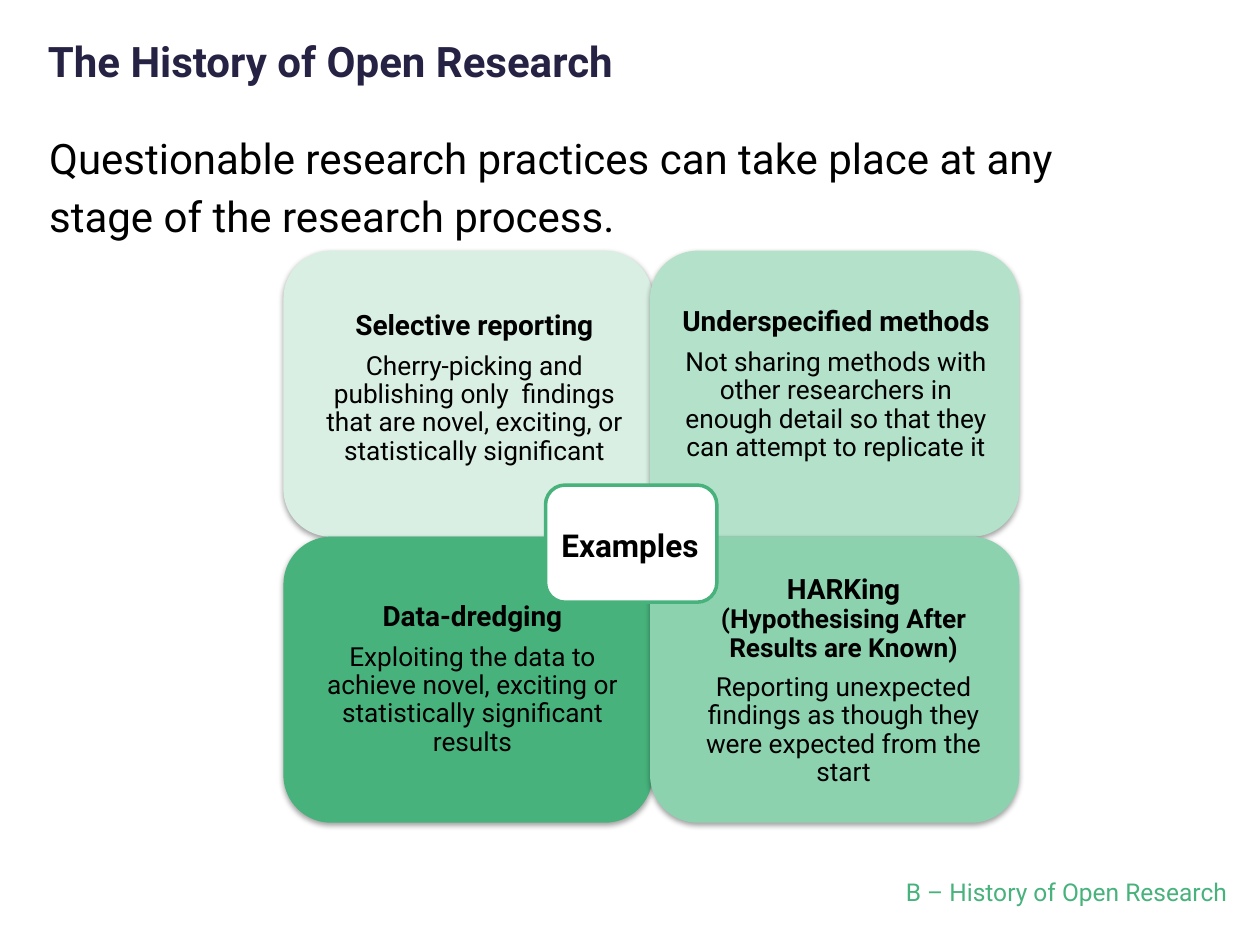
from lxml.etree import SubElement
from pptx import Presentation
from pptx.dml.color import RGBColor
from pptx.enum.shapes import MSO_SHAPE
from pptx.enum.text import MSO_ANCHOR, MSO_AUTO_SIZE, PP_ALIGN
from pptx.oxml.ns import qn
from pptx.util import Inches, Pt

FONT = "Roboto"
BLACK, WHITE, NAVY, GREEN = "000000", "FFFFFF", "252244", "47B27C"
TITLE = "The History of Open Research"
BODY = "Questionable research practices can take place at any stage of the research process."
FOOTER = "B – History of Open Research"
HUB = "Examples"
CARD_W, CARD_H = 2.93, 2.27
GRID_X, GRID_Y = (2.25, 5.16), (1.99, 4.26)
CARDS = [
    dict(col=0, row=0, fill="D9EFE3", text_box=(2.34, 2.33, 2.85, 1.61),
         head=[("Selective reporting", 16)],
         detail="Cherry-picking and publishing only  findings that are novel, exciting, "
                "or statistically significant"),
    dict(col=1, row=0, fill="B3E1C9", text_box=(5.21, 2.3, 2.85, 1.7),
         head=[("Underspecified methods", 16)],
         detail="Not sharing methods with other researchers in enough detail so that "
                "they can attempt to replicate it"),
    dict(col=0, row=1, fill=GREEN, text_box=(2.45, 4.64, 2.6, 1.54),
         head=[("Data-dredging", 16)],
         detail="Exploiting the data to achieve novel, exciting or statistically "
                "significant results"),
    dict(col=1, row=1, fill="8DD2AF", text_box=(5.27, 4.43, 2.85, 1.7),
         head=[("HARKing", 16), ("(Hypothesising After Results are Known)", 15)],
         detail="Reporting unexpected findings as though they were expected from the start"),
]


def rgb(value):
    return RGBColor.from_string(value)


def assign(obj, values):
    for name, value in values.items():
        setattr(obj, name, value)


def place(sp, box):
    assign(sp, dict(zip(("left", "top", "width", "height"), map(Inches, box))))


def frame(sp, inset_x, inset_y, anchor=MSO_ANCHOR.TOP):
    tf = sp.text_frame
    assign(tf, dict(word_wrap=True, auto_size=MSO_AUTO_SIZE.NONE, vertical_anchor=anchor,
                    margin_left=Inches(inset_x), margin_right=Inches(inset_x),
                    margin_top=Inches(inset_y), margin_bottom=Inches(inset_y)))
    return tf


def write(p, lines, bold=False, color=BLACK, align=PP_ALIGN.CENTER, spacing=0.9, before=0):
    assign(p, dict(alignment=align, line_spacing=spacing, space_before=Pt(before)))
    for i, (text, size) in enumerate(lines):
        if i:
            p.add_line_break()
        r = p.add_run()
        r.text = text
        assign(r.font, dict(name=FONT, size=Pt(size), bold=bold))
        r.font.color.rgb = rgb(color)


def text_box(s, box, inset_x, inset_y, anchor=MSO_ANCHOR.TOP):
    return frame(s.shapes.add_textbox(*map(Inches, box)), inset_x, inset_y, anchor)


def rounded(s, box, fill):
    sp = s.shapes.add_shape(MSO_SHAPE.ROUNDED_RECTANGLE, *map(Inches, box))
    sp.shadow.inherit = False
    sp.adjustments[0] = 0.167
    sp.fill.solid()
    sp.fill.fore_color.rgb = rgb(fill)
    sp.line.fill.background()
    return sp


def add_shadow(sp):
    effects = sp._element.spPr.find(qn("a:effectLst"))
    shadow = SubElement(effects, qn("a:outerShdw"), blurRad=str(Pt(3.1)), dist=str(Pt(1.6)),
                        dir="5400000", rotWithShape="0")
    color = SubElement(shadow, qn("a:srgbClr"), val=BLACK)
    SubElement(color, qn("a:alpha"), val="37000")


def main():
    prs = Presentation()
    prs.slide_width, prs.slide_height = Inches(10), Inches(7.5)
    s = prs.slides.add_slide(prs.slide_layouts[1])

    tf = text_box(s, (6.32, 6.94, 3.52, 0.38), 0.1, 0.05)
    write(tf.paragraphs[0], [(FOOTER, 14)], color=GREEN, align=PP_ALIGN.RIGHT)

    title, body = s.shapes.title, s.placeholders[1]
    place(title, (0.28, 0.28, 9.43, 0.88))
    write(frame(title, 0.1, 0.05).paragraphs[0], [(TITLE, 24)], True, NAVY, PP_ALIGN.LEFT)

    place(body, (0.29, 0.94, 8.94, 5.62))
    p = frame(body, 0.1, 0.05).paragraphs[0]
    write(p, [(BODY, 24)], align=PP_ALIGN.LEFT, spacing=1.15)
    pPr = p._p.get_or_add_pPr()
    pPr.set("marL", "0")
    pPr.set("indent", "0")
    SubElement(pPr, qn("a:buNone"))

    for card in CARDS:
        add_shadow(rounded(s, (GRID_X[card["col"]], GRID_Y[card["row"]], CARD_W, CARD_H),
                           card["fill"]))
        tf = text_box(s, card["text_box"], 0.14, 0.14)
        write(tf.paragraphs[0], card["head"], bold=True)
        write(tf.add_paragraph(), [(card["detail"], 15)], before=6.3)

    hub = rounded(s, (4.33, 3.85, 1.36, 0.93), WHITE)
    hub.line.color.rgb = rgb(GREEN)
    hub.line.width = Pt(2)
    tf = text_box(s, (4.38, 4.1, 1.24, 0.49), 0.07, 0.07, MSO_ANCHOR.MIDDLE)
    write(tf.paragraphs[0], [(HUB, 18)], bold=True)

    prs.save("out.pptx")


if __name__ == "__main__":
    main()
